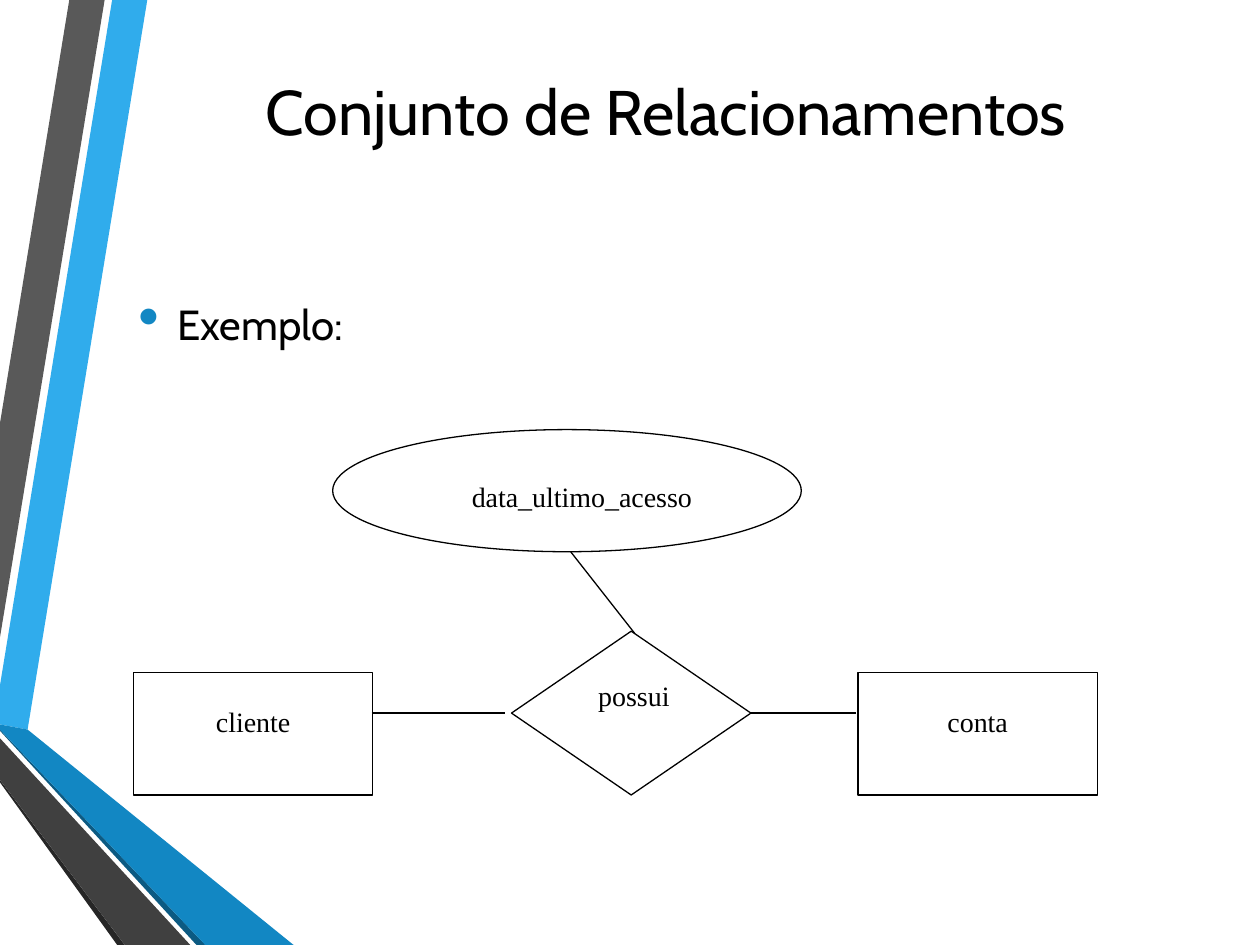
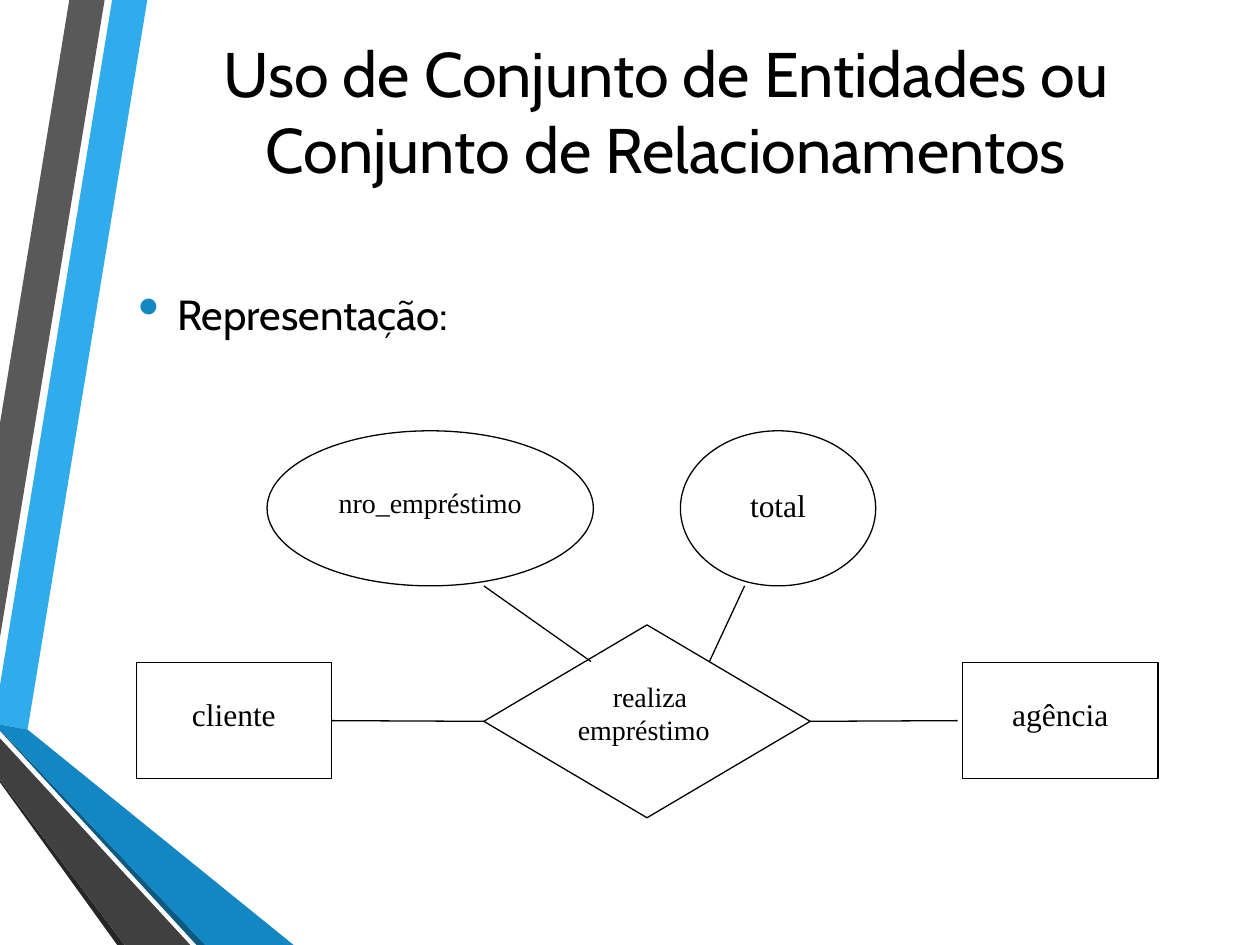
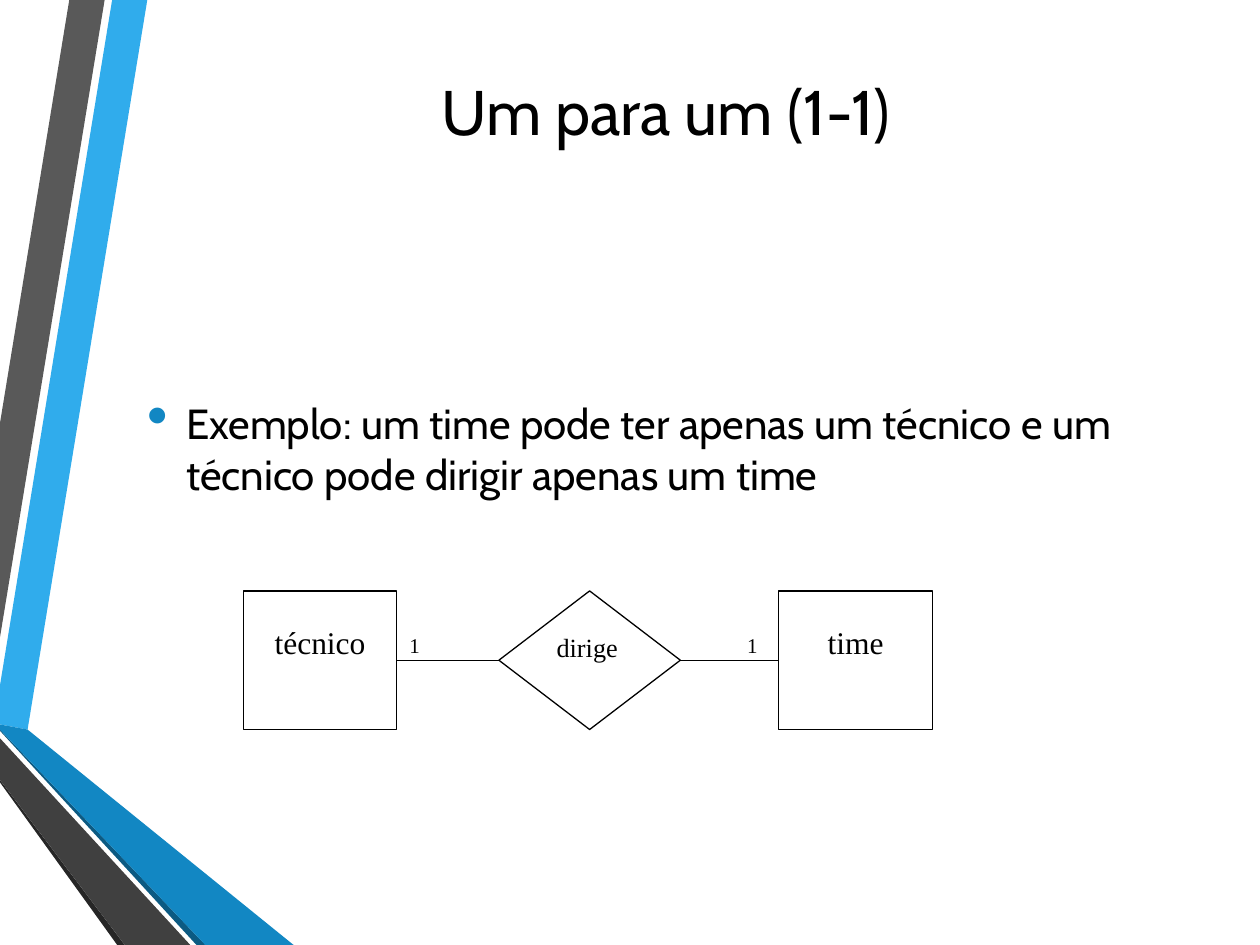
"""Build three slides on entity-relationship diagrams."""
from lxml import etree
from pptx import Presentation
from pptx.dml.color import RGBColor
from pptx.enum import shapes, text
from pptx.oxml import ns
from pptx.util import Pt

COLORS = {
    "ink": "000000", "paper": "FFFFFF", "sky": "30ACEC", "blue": "1287C3",
    "deep": "0C5A82", "gray": "595959", "dark": "404040", "shade": "262626",
}
TITLE_FONT, DIAGRAM_FONT = "Cabin", "Times New Roman"
TITLE_BOX = (77, 36, 607, 54)
BULLET_HANG = 22.3
INSET_X, INSET_Y = 7.2, 3.6
KINDS = {
    "entity": (shapes.MSO_SHAPE.RECTANGLE, 18.4),
    "attribute": (shapes.MSO_SHAPE.OVAL, 18.4),
    "relation": (shapes.MSO_SHAPE.FLOWCHART_DECISION, INSET_Y),
}
CENTER, LEFT = text.PP_ALIGN.CENTER, text.PP_ALIGN.LEFT
RIGHT_SIDE, LEFT_SIDE = 3, 1

BANDS = [
    ("sky", [(0, 391.7), (0, 414), (15.8, 416.9), (84.2, 0), (64.1, 0)]),
    ("gray", [(59.8, 0), (39.6, 0), (0, 241.9), (0, 364.3)]),
    ("shade", [(0, 445.7), (0, 447.1), (67, 540), (71.3, 540)]),
    ("deep", [(0, 416.9), (0, 417.6), (112.3, 540), (117.4, 540)]),
    ("blue", [(0, 416.9), (117.4, 540), (167.8, 540), (15.8, 416.9), (0, 414)]),
    ("dark", [(0, 445.7), (71.3, 540), (108.7, 540), (0, 421.9)]),
]

SLIDES = [
    {
        "title": "Conjunto de Relacionamentos",
        "bullet": {"words": "Exemplo:", "box": (36, 156.2, 648, 57.6), "margin": 58.3},
        "parts": [
            ("cliente", "entity", (76.3, 384.5, 136.8, 69.8), 16, {}),
            ("conta", "entity", (490.3, 384.5, 136.8, 69.8), 16, {}),
            ("possui", "relation", (292.3, 360.7, 136.8, 93.6), 16, {"left": 10.2}),
            ("data_ultimo_acesso", "attribute", (190.1, 245.5, 267.8, 69.8), 16,
             {"left": 24.2}),
        ],
        "links": [
            ((212.4, 407.5), (288.7, 407.5)),
            (("possui", RIGHT_SIDE), (488.9, 407.5)),
            ((326.2, 315.4), (362.9, 362.2)),
        ],
        "counts": [],
    },
    {
        "title": "Uso de Conjunto de Entidades ou Conjunto de Relacionamentos",
        "bullet": {"words": "Representação:", "box": (36, 156.2, 648, 46.1), "margin": 58.3},
        "parts": [
            ("cliente", "entity", (77.8, 378.7, 111.6, 66.2), 18, {}),
            ("agência", "entity", (550.1, 378.7, 111.6, 66.2), 18, {}),
            ("realiza empréstimo", "relation", (276.5, 357.1, 186.5, 110.2), 16,
             {"align": LEFT, "indent": 20}),
            ("nro_empréstimo", "attribute", (152.6, 246.2, 186.5, 88.6), 16, {}),
            ("total", "attribute", (388.8, 246.2, 111.6, 88.6), 18, {}),
        ],
        "links": [
            ((276.5, 334.8), (337.7, 378)),
            ((425.5, 334.8), (405.4, 378)),
            (("cliente", RIGHT_SIDE), ("realiza empréstimo", LEFT_SIDE)),
            (("realiza empréstimo", RIGHT_SIDE), (547.2, 411.8)),
        ],
        "counts": [],
    },
    {
        "title": "Um para um (1-1)",
        "bullet": {
            "words": "Exemplo: um time pode ter apenas um técnico e um técnico "
                     "pode dirigir apenas um time",
            "box": (77, 113, 607, 359.3), "margin": BULLET_HANG, "bottom": 76.6,
        },
        "parts": [
            ("time", "entity", (445, 337.7, 87.8, 79.2), 18, {}),
            ("técnico", "entity", (139, 337.7, 87.8, 79.2), 18, {}),
            ("dirige", "relation", (285.1, 337.7, 103.7, 79.2), 15, {"align": LEFT}),
        ],
        "links": [
            (("dirige", LEFT_SIDE), ("técnico", RIGHT_SIDE)),
            (("dirige", RIGHT_SIDE), ("time", LEFT_SIDE)),
        ],
        "counts": [("1", (226.8, 357.8, 38.9, 59.8)), ("1", (419.9, 357.8, 38.9, 59.8))],
    },
]


def points(values):
    return [Pt(value) for value in values]


def color(name):
    return RGBColor.from_string(COLORS[name])


def write(frame, words, font, size, align=LEFT, anchor=text.MSO_ANCHOR.TOP,
          left=INSET_X, top=INSET_Y, bottom=INSET_Y):
    frame.word_wrap = True
    frame.auto_size = text.MSO_AUTO_SIZE.NONE
    frame.vertical_anchor = anchor
    frame.margin_left, frame.margin_right = Pt(left), Pt(INSET_X)
    frame.margin_top, frame.margin_bottom = Pt(top), Pt(bottom)
    paragraph = frame.paragraphs[0]
    paragraph.alignment = align
    run = paragraph.add_run()
    run.text = words
    run.font.name, run.font.size = font, Pt(size)
    run.font.color.rgb = color("ink")
    return paragraph


def indent(paragraph, first, margin=0):
    properties = paragraph._p.get_or_add_pPr()
    properties.set("marL", str(Pt(margin)))
    properties.set("indent", str(Pt(first)))
    return properties


def add_bands(slide, layout):
    for fill, outline in BANDS:
        corners = [points(corner) for corner in outline]
        builder = slide.shapes.build_freeform(*corners[0])
        builder.add_line_segments(corners[1:], close=True)
        band = builder.convert_to_shape()
        band.shadow.inherit = False
        band.fill.solid()
        band.fill.fore_color.rgb = color(fill)
        band.line.fill.background()
        layout.shapes.element.append(band.element)


def add_title(slide, words):
    title = slide.shapes.title
    title.left, title.top, title.width, title.height = points(TITLE_BOX)
    write(title.text_frame, words, TITLE_FONT, 36, CENTER, text.MSO_ANCHOR.MIDDLE)


def add_bullet(slide, words, box, margin, bottom=INSET_Y):
    body = slide.shapes.add_textbox(*points(box))
    paragraph = write(body.text_frame, words, TITLE_FONT, 24,
                      anchor=text.MSO_ANCHOR.MIDDLE, bottom=bottom)
    properties = indent(paragraph, -BULLET_HANG, margin)
    tint = etree.SubElement(properties, ns.qn("a:buClr"))
    etree.SubElement(tint, ns.qn("a:srgbClr"), val=COLORS["blue"])
    etree.SubElement(properties, ns.qn("a:buSzPct"), val="145000")
    etree.SubElement(properties, ns.qn("a:buChar"), char="•")


def add_part(slide, words, kind, box, size, options):
    preset, top = KINDS[kind]
    part = slide.shapes.add_shape(preset, *points(box))
    part.shadow.inherit = False
    part.fill.solid()
    part.fill.fore_color.rgb = color("paper")
    part.line.color.rgb = color("ink")
    part.line.width = Pt(0.75)
    paragraph = write(part.text_frame, words, DIAGRAM_FONT, size,
                      options.get("align", CENTER), left=options.get("left", INSET_X), top=top)
    if "indent" in options:
        indent(paragraph, options["indent"])
    return part


def add_link(slide, parts, start, end):
    free = [(0, 0) if spot[0] in parts else spot for spot in (start, end)]
    link = slide.shapes.add_connector(
        shapes.MSO_CONNECTOR.STRAIGHT, *points(free[0]), *points(free[1]))
    for spot, connect in ((start, link.begin_connect), (end, link.end_connect)):
        if spot[0] in parts:
            connect(parts[spot[0]], spot[1])
    link.line.color.rgb = color("ink")
    link.line.width = Pt(0.75)
    etree.SubElement(link.element.spPr, ns.qn("a:effectLst"))


def main():
    deck = Presentation()
    deck.slide_width, deck.slide_height = Pt(720), Pt(540)
    layout = deck.slide_layouts[5]
    for number, content in enumerate(SLIDES):
        slide = deck.slides.add_slide(layout)
        if number == 0:
            add_bands(slide, layout)
        add_title(slide, content["title"])
        add_bullet(slide, **content["bullet"])
        parts = {part[0]: add_part(slide, *part) for part in content["parts"]}
        for start, end in content["links"]:
            add_link(slide, parts, start, end)
        for count, box in content["counts"]:
            label = slide.shapes.add_textbox(*points(box))
            write(label.text_frame, count, DIAGRAM_FONT, 12)
    deck.save("out.pptx")


if __name__ == "__main__":
    main()
